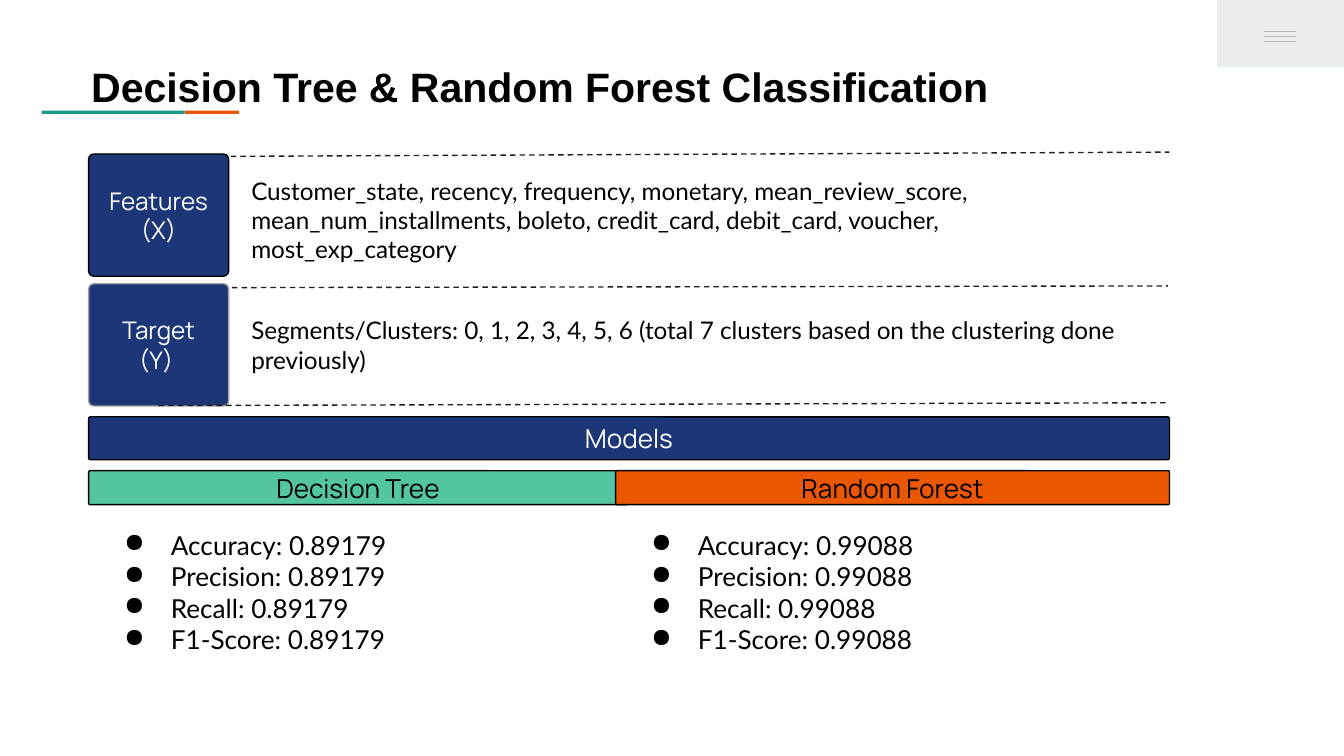
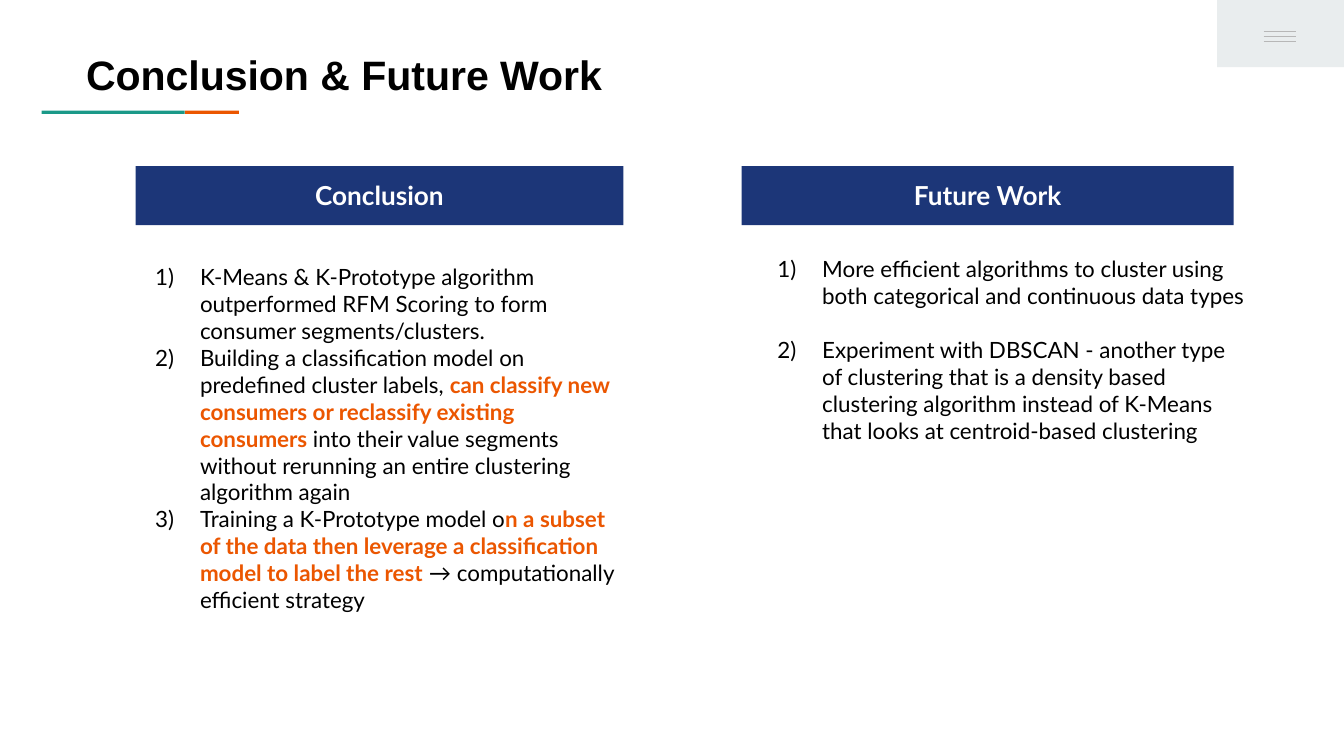
"""Build two slides on classification models, conclusions and future work."""
from pptx import Presentation
from pptx.dml.color import RGBColor
from pptx.enum import dml, shapes, text
from pptx.oxml import xmlchemy
from pptx.util import Pt
from lxml import etree

NAVY, GREEN, TEAL, ORANGE = "1C3678", "53C6A1", "1A9988", "EB5600"
BLACK, WHITE, DASH = "000000", "FFFFFF", "1F1F1F"
CORNER, CORNER_LINE = "E9EDEE", "B7B7B7"
DRAWING = "{http://schemas.openxmlformats.org/drawingml/2006/main}"
BODY_FONT, LABEL_FONT, TITLE_FONT = "Lato", "Manrope", "Arial"
CENTER = text.PP_ALIGN.CENTER
MIDDLE, TOP = text.MSO_ANCHOR.MIDDLE, text.MSO_ANCHOR.TOP


def color(value):
    """Turn a hex string into a colour."""
    return RGBColor.from_string(value)


def add_marker(paragraph, marker, hanging):
    """Give a paragraph a hanging bullet or an automatic number."""
    properties = paragraph._p.get_or_add_pPr()
    properties.set("marL", str(Pt(36)))
    properties.set("indent", str(-Pt(hanging)))
    bullet_color = etree.SubElement(properties, DRAWING + "buClr")
    etree.SubElement(bullet_color, DRAWING + "srgbClr", val=BLACK)
    if marker == "number":
        etree.SubElement(properties, DRAWING + "buAutoNum", type="arabicParenR")
    else:
        etree.SubElement(properties, DRAWING + "buChar", char=marker)


def write(shape, paragraphs, size=12, font=BODY_FONT, fill=BLACK, bold=False,
          align=None, anchor=TOP, marker=None, hanging=0, gap=0,
          line_spacing=None, after=None, grow=False):
    """Write paragraphs, each a string or a list of (words, emphasised) runs."""
    frame = shape.text_frame
    frame.word_wrap = True
    frame.vertical_anchor = anchor
    frame.margin_left = frame.margin_right = Pt(7.2)
    frame.margin_top = frame.margin_bottom = Pt(7.2)
    if grow:
        frame.auto_size = text.MSO_AUTO_SIZE.SHAPE_TO_FIT_TEXT
    for index, content in enumerate(paragraphs):
        paragraph = frame.add_paragraph() if index else frame.paragraphs[0]
        if marker:
            add_marker(paragraph, marker, hanging)
        paragraph.alignment = align or text.PP_ALIGN.LEFT
        paragraph.line_spacing = line_spacing
        if after:
            paragraph.space_after = Pt(after)
        if index and gap:
            paragraph.space_before = Pt(gap)
        runs = [(content, False)] if isinstance(content, str) else content
        for words, emphasised in runs:
            for number, line in enumerate(words.split("\n")):
                if number:
                    paragraph.add_line_break()
                run = paragraph.add_run()
                run.text = line
                run.font.name = font
                run.font.size = Pt(size)
                run.font.bold = bold or emphasised
                run.font.color.rgb = color(ORANGE if emphasised else fill)


def add_box(slide, box, fill=None, line=None, rounded=False):
    """Add a plain or slightly rounded rectangle."""
    kind = shapes.MSO_SHAPE.ROUNDED_RECTANGLE if rounded else shapes.MSO_SHAPE.RECTANGLE
    shape = slide.shapes.add_shape(kind, *map(Pt, box))
    shape.shadow.inherit = False
    if rounded:
        shape.adjustments[0] = 0.043
    if fill:
        shape.fill.solid()
        shape.fill.fore_color.rgb = color(fill)
    else:
        shape.fill.background()
    if line:
        shape.line.color.rgb = color(line)
        shape.line.width = Pt(0.75)
    else:
        shape.line.fill.background()
    return shape


def add_line(slide, start, end, stroke, dashed=False):
    """Add a thin straight line."""
    line = slide.shapes.add_connector(
        shapes.MSO_CONNECTOR.STRAIGHT, *map(Pt, (*start, *end)))
    line.line.color.rgb = color(stroke)
    line.line.width = Pt(0.75)
    if dashed:
        line.line.dash_style = dml.MSO_LINE.DASH
    etree.SubElement(line._element.spPr, DRAWING + "effectLst")


def add_text(slide, box, paragraphs, **style):
    """Add a text box."""
    write(slide.shapes.add_textbox(*map(Pt, box)), paragraphs, **style)


def add_slide(presentation, title, title_box):
    """Add a slide with the shared underline, corner block and title."""
    slide = presentation.slides.add_slide(presentation.slide_layouts[6])
    add_box(slide, (99, 59.3, 29, 1.7), ORANGE)
    add_box(slide, (22.4, 59.3, 76.6, 1.7), TEAL)
    add_box(slide, (652, 0, 68, 36), CORNER)
    for row in range(3):
        y = 17 + row * 2.6
        add_line(slide, (677, y), (694.3, y), CORNER_LINE)
    add_text(slide, title_box, [title], size=22, font=TITLE_FONT, bold=True,
             line_spacing=1.15, after=6, grow=True)
    return slide


def add_variable(slide, box, label, description, outline, offset=0):
    """Place a navy label at the left of a box and its description beside it."""
    left, top, width, height = box
    description_box = add_box(slide, (left + 79.2, top + offset, width - 79.2, height),
                              rounded=True)
    write(description_box, [description], size=13, anchor=MIDDLE)
    label_box = add_box(slide, (left, top, 75, height), NAVY, outline, rounded=True)
    write(label_box, [label], size=13, font=LABEL_FONT, fill=WHITE,
          align=CENTER, anchor=MIDDLE)


def add_bar(slide, box, label, fill, ink):
    """Add an outlined bar with a centred label."""
    bar = add_box(slide, box, fill, BLACK, rounded=True)
    write(bar, [label], size=14, font=LABEL_FONT, fill=ink, align=CENTER, anchor=MIDDLE)


def add_model(slide, box, name, fill, score, metrics_width):
    """Add a model bar with its scores listed below."""
    left, top, width, height = box
    add_bar(slide, box, name, fill, BLACK)
    metrics = add_box(slide, (left, top + 27.4, metrics_width, 75), rounded=True)
    names = ("Accuracy", "Precision", "Recall", "F1-Score")
    write(metrics, [f"{metric}: {score}" for metric in names], size=14,
          anchor=MIDDLE, marker="●", hanging=25)


def add_column(slide, box, heading, items, list_offset, gap=0):
    """Add a navy heading with a numbered list below it."""
    left, top, width, height = box
    header = add_box(slide, (left, top, width, 31.7), NAVY)
    write(header, [heading], size=14, fill=WHITE, bold=True, align=CENTER, grow=True)
    dx, dy = list_offset
    add_text(slide, (left + dx, top + dy, 278.6, height - dy), items,
             marker="number", hanging=24, gap=gap, grow=True)


def build_classification(presentation):
    """Build the slide that compares the two classifiers."""
    slide = add_slide(presentation, "Decision Tree & Random Forest Classification",
                      (41.8, 21.6, 636.5, 41))
    add_line(slide, (72, 84), (626.4, 81.5), DASH, dashed=True)
    add_line(slide, (72.7, 154.2), (625.7, 153.2), DASH, dashed=True)
    add_variable(slide, (47.5, 152, 570.2, 65.5), "Target\n(Y) ",
                 "Segments/Clusters: 0, 1, 2, 3, 4, 5, 6 (total 7 clusters based on "
                 "the clustering done previously)", "9E9E9E")
    add_line(slide, (85, 217.3), (626.4, 215.8), DASH, dashed=True)
    add_variable(slide, (47.5, 82.5, 570.2, 65.5), "Features\n(X)",
                 "Customer_state, recency, frequency, monetary, mean_review_score, "
                 "mean_num_installments, boleto, credit_card, debit_card, voucher, "
                 "most_exp_category", BLACK, offset=2.5)
    add_bar(slide, (47.5, 223.3, 579, 23), "Models", NAVY, WHITE)
    add_model(slide, (47.5, 252.2, 288.7, 18.2), "Decision Tree", GREEN, "0.89179", 282.2)
    add_model(slide, (329.8, 252.2, 296.7, 18.2), "Random Forest", ORANGE, "0.99088", 272.2)


def build_conclusion(presentation):
    """Build the slide with conclusions and future work."""
    slide = add_slide(presentation, "Conclusion & Future Work", (39, 15.1, 613.4, 41))
    add_column(slide, (72.7, 89, 261.2, 248.4), "Conclusion", [
        "K-Means & K-Prototype algorithm outperformed RFM Scoring to form "
        "consumer segments/clusters.",
        [("Building a classification model on predefined cluster labels, ", False),
         ("can classify new consumers or reclassify existing consumers ", True),
         ("into their value segments without rerunning an entire clustering "
          "algorithm again", False)],
        [("Training a K-Prototype model o", False),
         ("n a subset of the data then leverage a classification model to label "
          "the rest", True),
         (" → computationally efficient strategy", False)],
    ], (-8.6, 45))
    add_column(slide, (397.4, 89, 263.5, 171.6), "Future Work", [
        "More efficient algorithms to cluster using both categorical and "
        "continuous data types",
        "Experiment with DBSCAN - another type of clustering that is a density "
        "based clustering algorithm instead of K-Means that looks at "
        "centroid-based clustering",
    ], (0, 40.6), gap=14.4)


def main():
    """Build and save the presentation."""
    presentation = Presentation()
    presentation.slide_width, presentation.slide_height = Pt(720), Pt(405)
    build_classification(presentation)
    build_conclusion(presentation)
    presentation.save("out.pptx")


if __name__ == "__main__":
    main()
